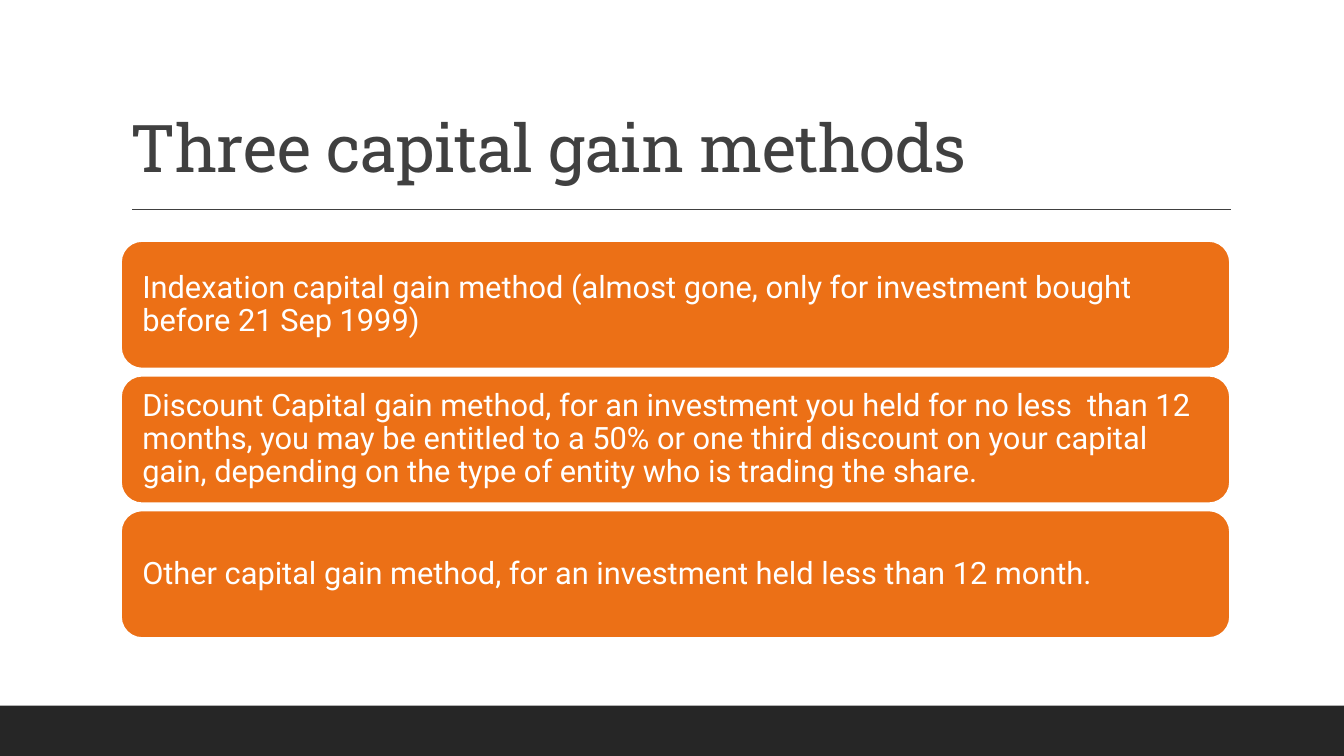
from dataclasses import dataclass

from pptx import Presentation
from pptx.dml.color import RGBColor
from pptx.enum.shapes import MSO_CONNECTOR, MSO_SHAPE
from pptx.enum.text import MSO_ANCHOR, PP_ALIGN
from pptx.oxml.ns import qn
from pptx.util import Inches, Pt
from lxml.etree import SubElement


@dataclass(frozen=True)
class Theme:
    ink: RGBColor = RGBColor.from_string("404040")
    footer: RGBColor = RGBColor.from_string("262626")
    accent: RGBColor = RGBColor.from_string("EC7016")
    paper: RGBColor = RGBColor.from_string("FFFFFF")
    title_font: str = "Roboto Slab"
    body_font: str = "Roboto"
    title_size: float = 47
    body_size: float = 22
    rule_width: float = 1
    card_border: float = 1.25
    line_spacing: float = 0.9


THEME = Theme()
SLIDE_W, SLIDE_H = 13.33, 7.5
MARGIN = 1.2
CONTENT_W = 11
FOOTER_H = 0.5
CARD_GAP = 0.07
CARD_INSET = 0.15

METHODS = [
    "Indexation capital gain method (almost gone, only for investment bought "
    "before 21 Sep 1999)",
    "Discount Capital gain method, for an investment you held for no less  than 12 "
    "months, you may be entitled to a 50% or one third discount on your capital gain, "
    "depending on the type of entity who is trading the share.",
    "Other capital gain method, for an investment held less than 12 month.",
]


def add_block(slide, preset, box, fill):
    block = slide.shapes.add_shape(preset, *map(Inches, box))
    block.shadow.inherit = False
    block.fill.solid()
    block.fill.fore_color.rgb = fill
    block.line.fill.background()
    return block


def write_paragraph(frame, text, font_name, size, color):
    frame.word_wrap = True
    paragraph = frame.paragraphs[0]
    paragraph.text = text
    paragraph.alignment = PP_ALIGN.LEFT
    paragraph.line_spacing = THEME.line_spacing
    font = paragraph.font
    font.name, font.size, font.color.rgb = font_name, Pt(size), color
    return paragraph


def add_title(slide, box, text):
    frame = slide.shapes.add_textbox(*map(Inches, box)).text_frame
    frame.vertical_anchor = MSO_ANCHOR.BOTTOM
    paragraph = write_paragraph(frame, text, THEME.title_font, THEME.title_size, THEME.ink)
    # Letter spacing in hundredths of a point
    paragraph.runs[0].font._element.set("spc", "-50")


def add_rule(slide, left, right, y):
    rule = slide.shapes.add_connector(
        MSO_CONNECTOR.STRAIGHT, *map(Inches, (left, y, right, y)))
    rule.line.color.rgb = THEME.ink
    rule.line.width = Pt(THEME.rule_width)
    SubElement(rule._element.spPr, qn("a:effectLst"))


def add_method_cards(slide, box, methods):
    """Stack one equal card per method, filling the box."""
    left, top, width, height = box
    pitch = (height + CARD_GAP) / len(methods)
    for row, method in enumerate(methods):
        card = add_block(slide, MSO_SHAPE.ROUNDED_RECTANGLE,
                         (left, top + row * pitch, width, pitch - CARD_GAP), THEME.accent)
        card.line.color.rgb = THEME.paper
        card.line.width = Pt(THEME.card_border)
        frame = card.text_frame
        frame.vertical_anchor = MSO_ANCHOR.MIDDLE
        frame.margin_left = frame.margin_right = Inches(CARD_INSET)
        frame.margin_top = frame.margin_bottom = Inches(CARD_INSET)
        write_paragraph(frame, method, THEME.body_font, THEME.body_size, THEME.paper)


def build_methods_slide(deck):
    slide = deck.slides.add_slide(deck.slide_layouts[6])
    add_block(slide, MSO_SHAPE.RECTANGLE,
              (0, SLIDE_H - FOOTER_H, SLIDE_W, FOOTER_H), THEME.footer)
    add_rule(slide, MARGIN + 0.11, MARGIN + CONTENT_W + 0.01, 2.08)
    add_title(slide, (MARGIN, 0.31, CONTENT_W, 1.59), "Three capital gain methods")
    add_method_cards(slide, (MARGIN, 2.39, CONTENT_W, 3.94), METHODS)


def main():
    deck = Presentation()
    deck.slide_width, deck.slide_height = Inches(SLIDE_W), Inches(SLIDE_H)
    build_methods_slide(deck)
    deck.save("out.pptx")


if __name__ == "__main__":
    main()
